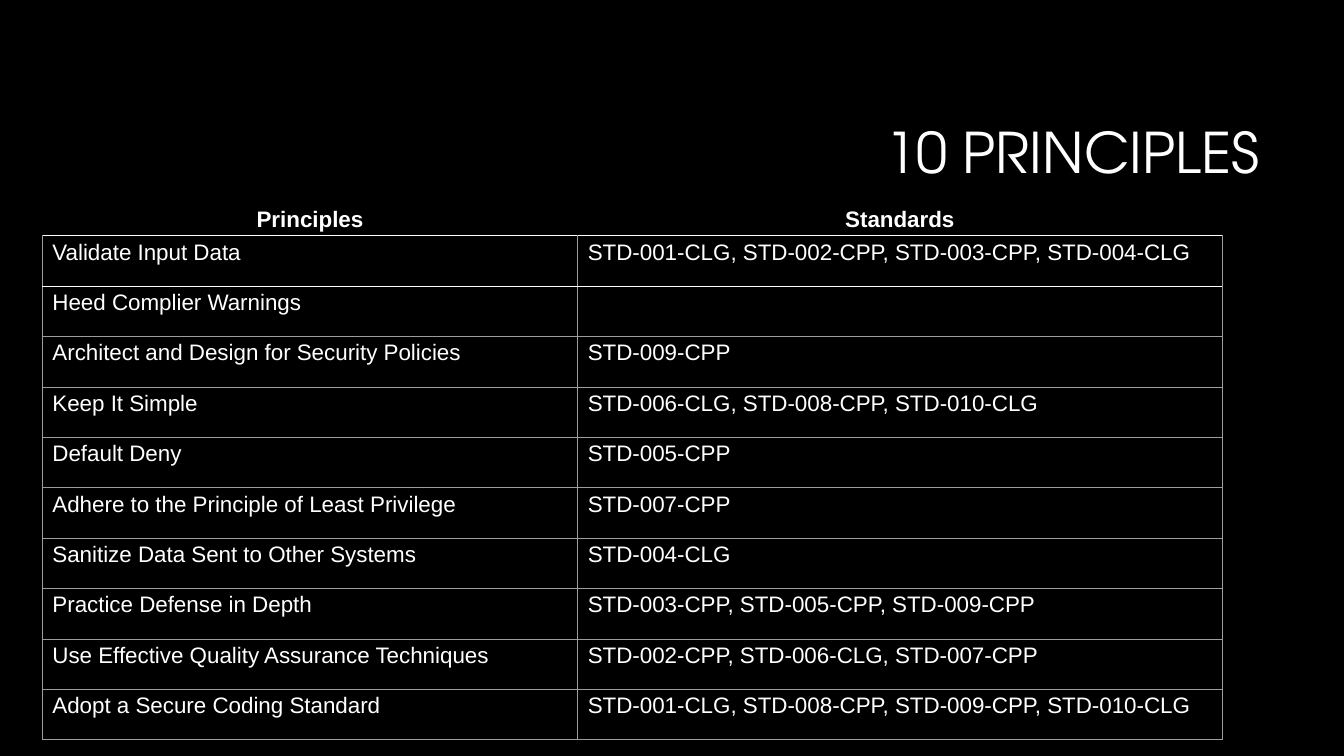
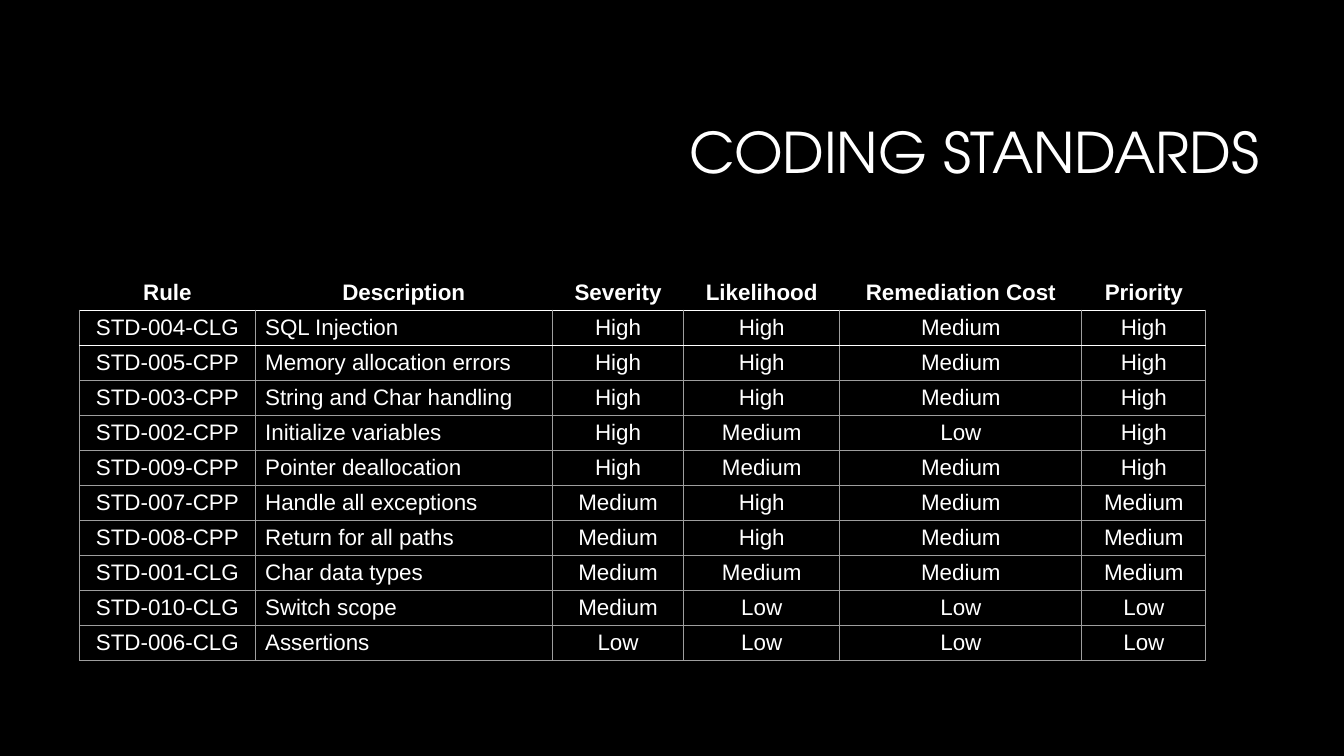
"""Build two dark slides: security principles and coding standards."""
from dataclasses import dataclass

import pptx
import pptx.dml.color
import pptx.enum.text
import pptx.oxml
import pptx.oxml.ns
import pptx.util

Inches = pptx.util.Inches
Pt = pptx.util.Pt
Align = pptx.enum.text.PP_ALIGN
Anchor = pptx.enum.text.MSO_ANCHOR


@dataclass(frozen=True)
class Theme:
    back: str = "000000"
    text: str = "FFFFFF"
    rule: str = "9E9E9E"
    head: str = "TeX Gyre Adventor"
    body: str = "Arial"
    big: float = 40
    small: float = 16
    thin: float = 0.75
    thick: float = 1


@dataclass(frozen=True)
class Grid:
    title: str
    left: float
    top: float
    high: float
    widths: tuple[float, ...]
    rows: tuple[tuple[str, ...], ...]
    flush: tuple[int, ...]
    first: Anchor
    rest: Anchor


THEME = Theme()

GRIDS = (
    Grid(
        "10 PRINCIPLES", 0.42, 1.84, 5.5, (5.31, 6.39),
        (
            ("Principles", "Standards"),
            ("Validate Input Data", "STD-001-CLG, STD-002-CPP, STD-003-CPP, STD-004-CLG"),
            ("Heed Complier Warnings", ""),
            ("Architect and Design for Security Policies", "STD-009-CPP"),
            ("Keep It Simple", "STD-006-CLG, STD-008-CPP, STD-010-CLG"),
            ("Default Deny", "STD-005-CPP"),
            ("Adhere to the Principle of Least Privilege", "STD-007-CPP"),
            ("Sanitize Data Sent to Other Systems", "STD-004-CLG"),
            ("Practice Defense in Depth", "STD-003-CPP, STD-005-CPP, STD-009-CPP"),
            ("Use Effective Quality Assurance Techniques", "STD-002-CPP, STD-006-CLG, STD-007-CPP"),
            ("Adopt a Secure Coding Standard", "STD-001-CLG, STD-008-CPP, STD-009-CPP, STD-010-CLG"),
        ),
        (0, 1), Anchor.BOTTOM, Anchor.TOP,
    ),
    Grid(
        "CODING STANDARDS", 0.79, 2.73, 3.82, (1.74, 2.95, 1.3, 1.55, 2.4, 1.23),
        (
            ("Rule", "Description", "Severity", "Likelihood", "Remediation Cost", "Priority"),
            ("STD-004-CLG", "SQL Injection", "High", "High", "Medium", "High"),
            ("STD-005-CPP", "Memory allocation errors", "High", "High", "Medium", "High"),
            ("STD-003-CPP", "String and Char handling", "High", "High", "Medium", "High"),
            ("STD-002-CPP", "Initialize variables", "High", "Medium", "Low", "High"),
            ("STD-009-CPP", "Pointer deallocation", "High", "Medium", "Medium", "High"),
            ("STD-007-CPP", "Handle all exceptions", "Medium", "High", "Medium", "Medium"),
            ("STD-008-CPP", "Return for all paths", "Medium", "High", "Medium", "Medium"),
            ("STD-001-CLG", "Char data types", "Medium", "Medium", "Medium", "Medium"),
            ("STD-010-CLG", "Switch scope", "Medium", "Low", "Low", "Low"),
            ("STD-006-CLG", "Assertions", "Low", "Low", "Low", "Low"),
        ),
        (1,), Anchor.MIDDLE, Anchor.MIDDLE,
    ),
)


def tint(code: str) -> pptx.dml.color.RGBColor:
    return pptx.dml.color.RGBColor.from_string(code)


def style(para, face: str, size: float, align: Align, bold: bool = False) -> None:
    para.alignment = align
    para.font.name = face
    para.font.size = Pt(size)
    para.font.bold = bold
    para.font.color.rgb = tint(THEME.text)


def edge(cell, side: str, code: str | None, width: float) -> None:
    fill = f'<a:solidFill><a:srgbClr val="{code}"/></a:solidFill>' if code else "<a:noFill/>"
    line = f'<a:ln{side} {pptx.oxml.ns.nsdecls("a")} w="{Pt(width)}">{fill}</a:ln{side}>'
    cell._tc.get_or_add_tcPr().append(pptx.oxml.parse_xml(line))


def frame(cell, row: int) -> None:
    white = (THEME.text, THEME.thick)
    gray = (THEME.rule, THEME.thin)
    none = (None, THEME.thin)
    side = gray if row else none
    top = (white if row < 3 else gray) if row else none
    low = white if row < 2 else gray
    for name, look in zip("LRTB", (side, side, top, low)):
        edge(cell, name, *look)
    cell.fill.background()


def draw_title(slide, text: str) -> None:
    box = slide.shapes.add_textbox(Inches(3.17), Inches(0.84), Inches(9.42), Inches(1.41))
    area = box.text_frame
    area.word_wrap = True
    area.vertical_anchor = Anchor.MIDDLE
    para = area.paragraphs[0]
    para.text = text
    para.line_spacing = 0.9
    style(para, THEME.head, THEME.big, Align.RIGHT)


def draw_grid(slide, grid: Grid) -> None:
    count = len(grid.rows)
    table = slide.shapes.add_table(
        count, len(grid.widths), Inches(grid.left), Inches(grid.top),
        Inches(sum(grid.widths)), Inches(grid.high),
    ).table
    table.first_row = False
    table.horz_banding = False
    for col, width in zip(table.columns, grid.widths):
        col.width = Inches(width)
    for r, texts in enumerate(grid.rows):
        table.rows[r].height = Inches(grid.high / count)
        for c, text in enumerate(texts):
            cell = table.cell(r, c)
            frame(cell, r)
            cell.margin_left = cell.margin_right = Inches(0.1 if c in grid.flush else 0)
            cell.margin_top = cell.margin_bottom = Inches(0.04)
            cell.vertical_anchor = grid.rest if r else grid.first
            para = cell.text_frame.paragraphs[0]
            para.text = text
            align = Align.LEFT if r and c in grid.flush else Align.CENTER
            style(para, THEME.body, THEME.small, align, r == 0)


def main() -> None:
    deck = pptx.Presentation()
    deck.slide_width = Inches(13.33)
    deck.slide_height = Inches(7.5)
    for grid in GRIDS:
        slide = deck.slides.add_slide(deck.slide_layouts[6])
        slide.background.fill.solid()
        slide.background.fill.fore_color.rgb = tint(THEME.back)
        draw_title(slide, grid.title)
        draw_grid(slide, grid)
    deck.save("out.pptx")


if __name__ == "__main__":
    main()
